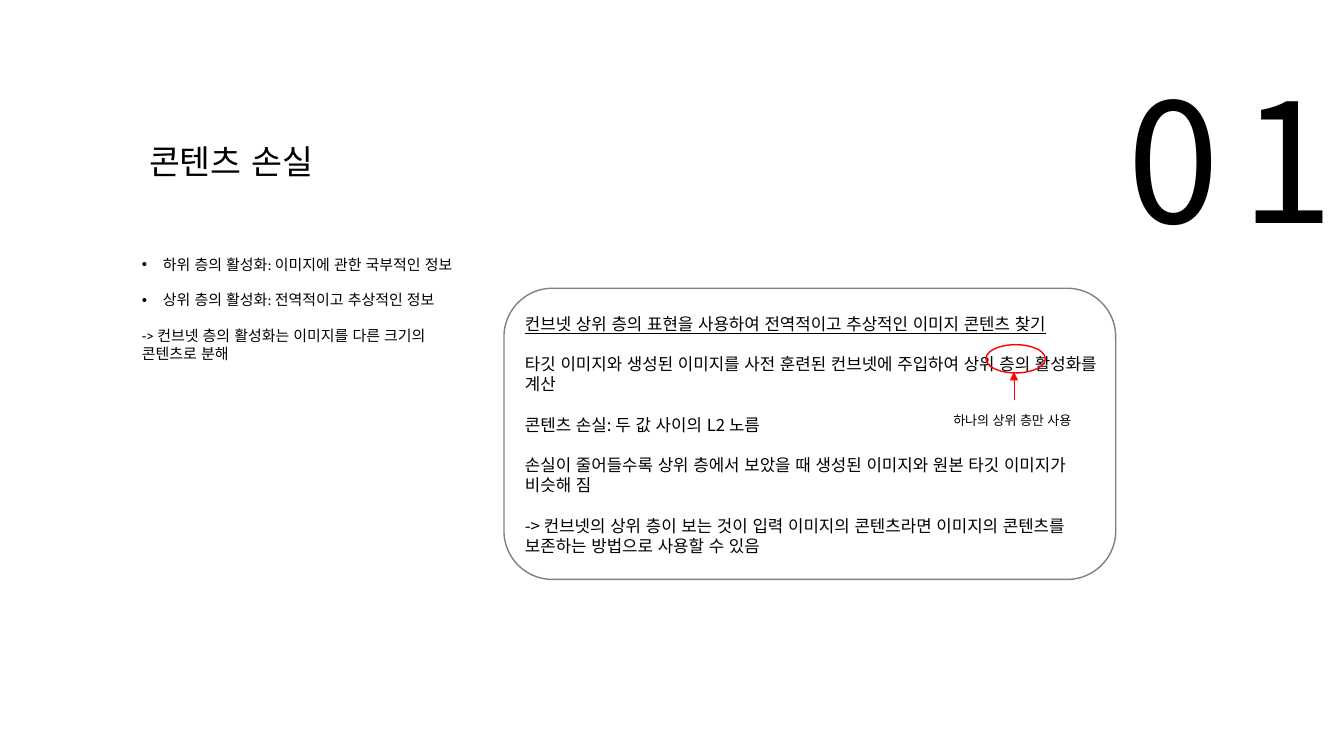
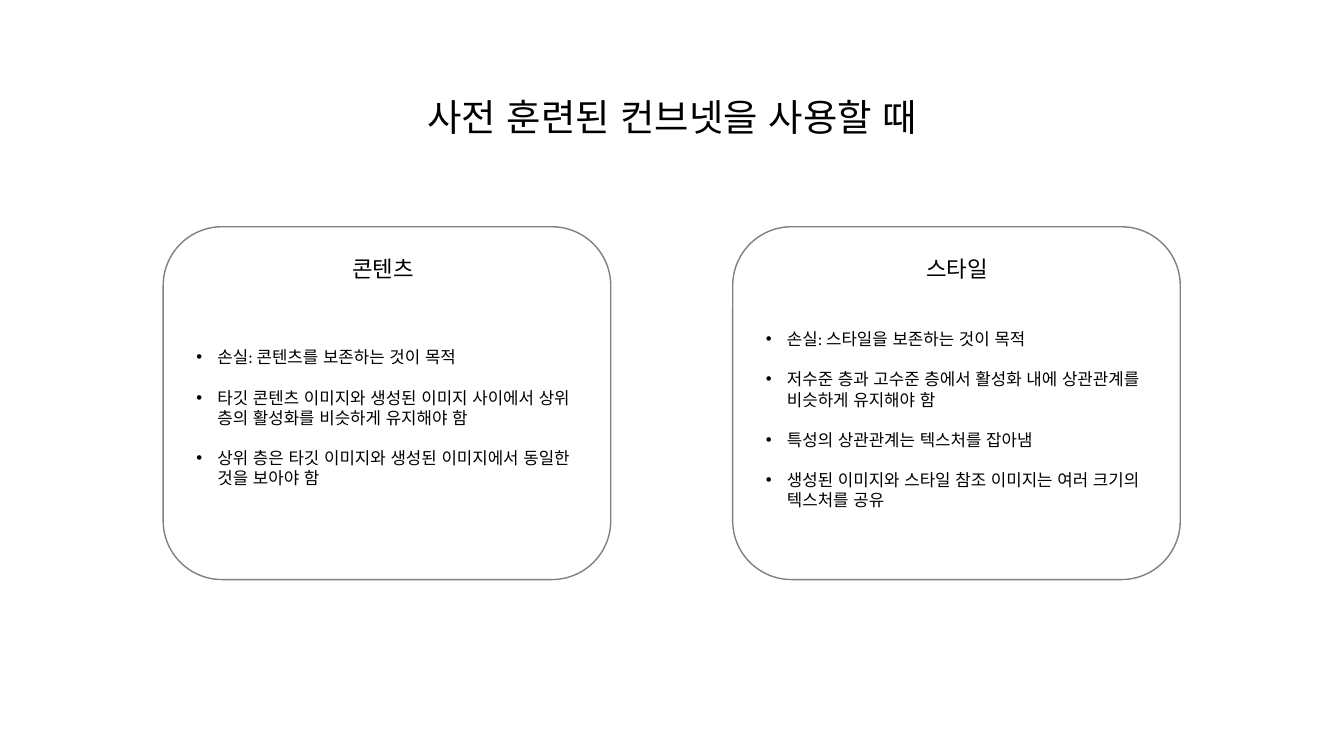
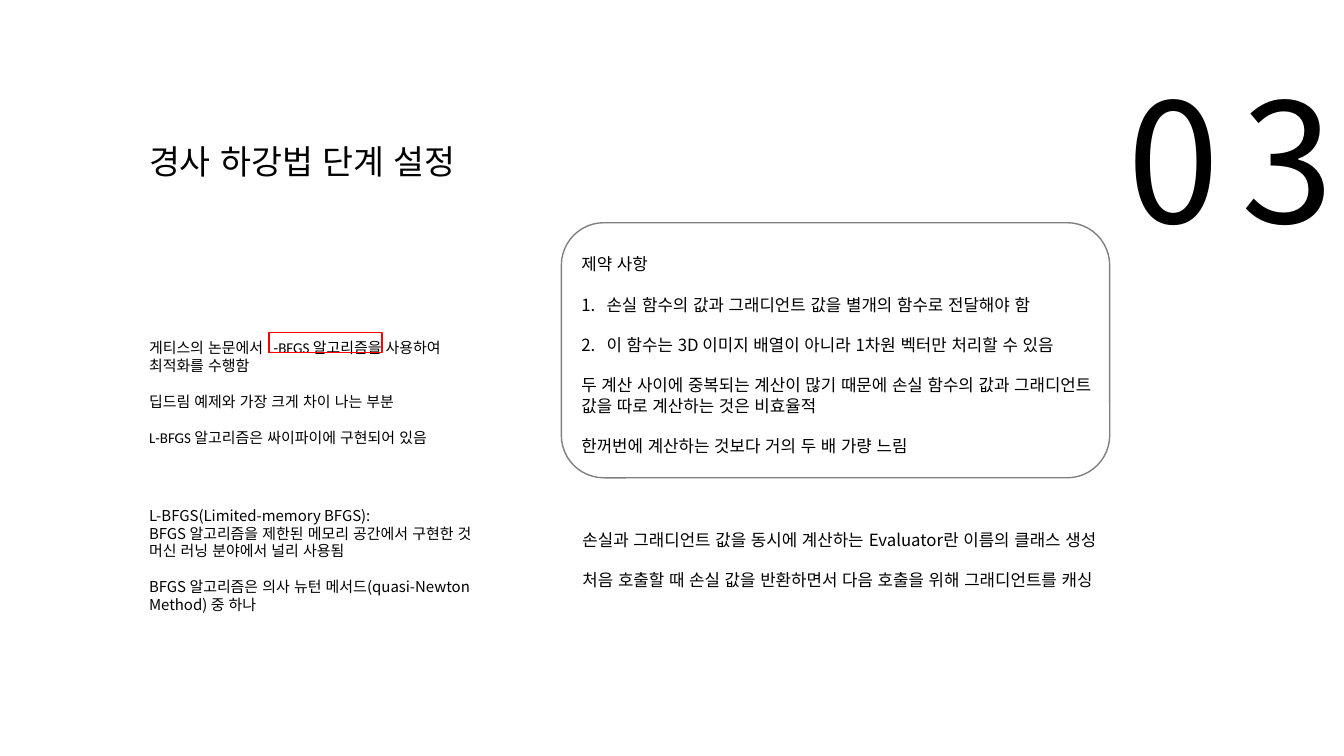
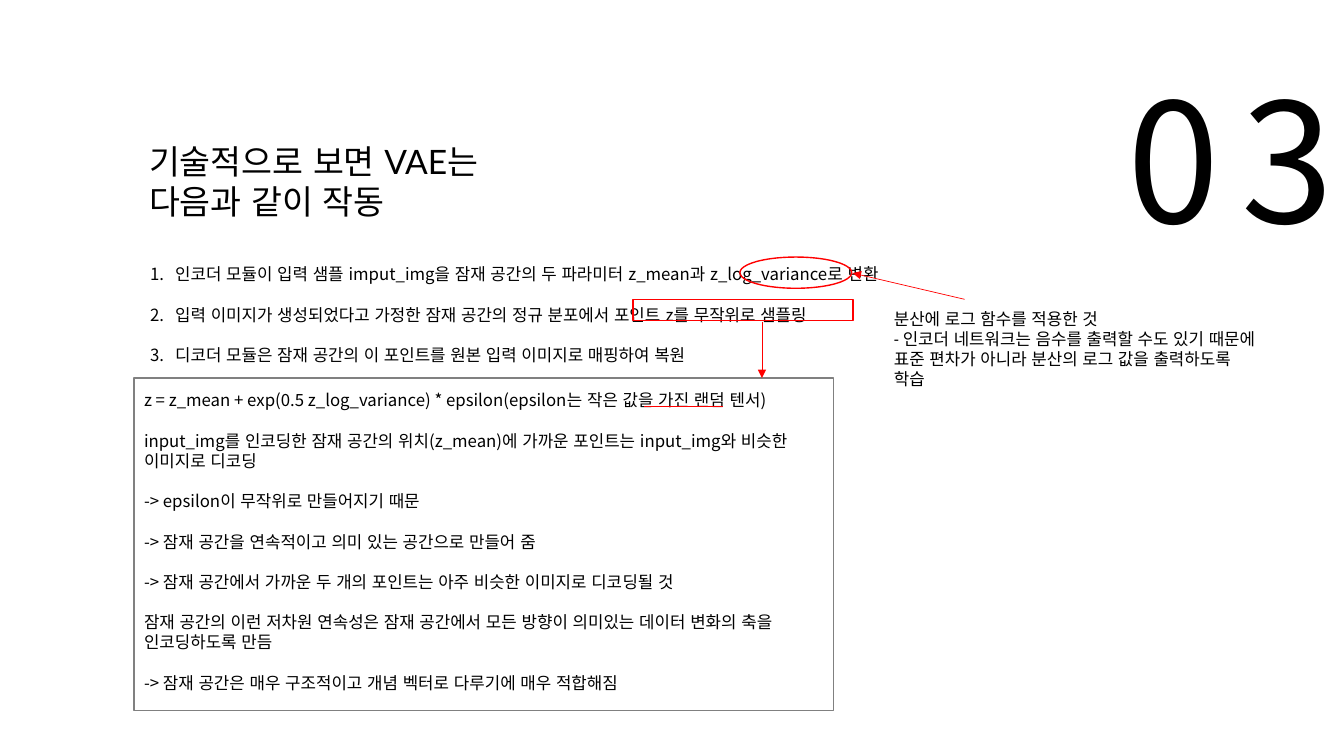
"""Build four slides on style transfer losses and variational autoencoders."""
import pptx
import pptx.util
import pptx.dml.color
import pptx.enum.dml
import pptx.enum.lang
import pptx.enum.shapes
import pptx.enum.text
import pptx.oxml.ns
import lxml.etree

Pt = pptx.util.Pt
RGB = pptx.dml.color.RGBColor
BLACK = RGB(0, 0, 0)
RED = RGB(255, 0, 0)
GREY = RGB(128, 128, 128)
NOTO = "Noto Sans CJK KR"
BODY = "Calibri"
HEAD = "Lato"
LEFT = pptx.enum.text.PP_ALIGN.LEFT
MID = pptx.enum.text.PP_ALIGN.CENTER
SHAPE = pptx.enum.shapes.MSO_SHAPE
KOREAN = pptx.enum.lang.MSO_LANGUAGE_ID.KOREAN
LEAD = 1.2
DROP = 0.075


def node(home, tag, **attrs):
    """Append an XML child in the drawing namespace."""
    return lxml.etree.SubElement(home, pptx.oxml.ns.qn(tag), **attrs)


def mark(para, sign):
    """Give a paragraph a dot or an automatic number."""
    wide = 18 if sign == "1." else 15
    props = para._p.get_or_add_pPr()
    props.set("marL", str(Pt(wide)))
    props.set("indent", str(-Pt(wide)))
    if sign == "1.":
        node(props, "a:buFont", typeface="+mj-lt")
        node(props, "a:buAutoNum", type="arabicPeriod")
    else:
        node(props, "a:buFont", typeface="Arial")
        node(props, "a:buChar", char=sign)


def text(slide, box, lines, size=12, font=NOTO, align=LEFT, marks=None,
         tight=(), under=(), track=0):
    """Write one paragraph per line, a line apart unless its index is tight."""
    left, top, width, height = box
    frame = slide.shapes.add_textbox(
        Pt(left), Pt(top + size * DROP), Pt(width), Pt(height)).text_frame
    frame.word_wrap = True
    for i, line in enumerate(lines):
        para = frame.add_paragraph() if i else frame.paragraphs[0]
        if marks and marks.get(i):
            mark(para, marks[i])
        para.alignment = align
        para.line_spacing = Pt(size * LEAD)
        if i and i not in tight:
            para.space_before = Pt(size * LEAD)
        run = para.add_run()
        run.text = line
        run.font.size = Pt(size)
        run.font.name = font
        run.font.color.rgb = BLACK
        run.font.language_id = KOREAN
        if i in under:
            run.font.underline = True
        props = run.font._element
        node(props, "a:ea", typeface=NOTO)
        if track:
            props.set("spc", str(round(track * 100)))


def frame(slide, kind, box, color=GREY):
    """Draw an unfilled outline."""
    shape = slide.shapes.add_shape(kind, *map(Pt, box))
    shape.shadow.inherit = False
    shape.fill.background()
    shape.line.color.rgb = color
    shape.line.width = Pt(1)


def line(slide, ends, arrow=True):
    """Draw a thin red line, with an arrowhead if asked."""
    link = slide.shapes.add_connector(
        pptx.enum.shapes.MSO_CONNECTOR.STRAIGHT, *map(Pt, ends))
    link.line.color.rgb = RED
    link.line.width = Pt(0.5)
    if arrow:
        node(link.line._get_or_add_ln(), "a:tailEnd", type="triangle")
    node(link._element.spPr, "a:effectLst")


def opener(slide, num, title, width=266.4):
    """Add the large number and the title of a section slide."""
    text(slide, (770.4, 28.8, 217.4, 151), [num], size=118.7, align=MID,
         track=15.3)
    text(slide, (99.4, 95, width, 36), [title], size=24, font=HEAD)


def content(slide):
    """Fill the slide on content loss."""
    opener(slide, "01", "콘텐츠 손실", 337)
    text(slide, (94.3, 177.8, 249, 98), [
        "하위 층의 활성화: 이미지에 관한 국부적인 정보",
        "상위 층의 활성화: 전역적이고 추상적인 정보",
        "-> 컨브넷 층의 활성화는 이미지를 다른 크기의 콘텐츠로 분해",
    ], size=10.7, font=BODY, marks={0: "•", 1: "•"})
    text(slide, (367.9, 219.6, 429, 181.4), [
        "컨브넷 상위 층의 표현을 사용하여 전역적이고 추상적인 이미지 콘텐츠 찾기",
        "타깃 이미지와 생성된 이미지를 사전 훈련된 컨브넷에 주입하여 상위 층의 활성화를 계산",
        "콘텐츠 손실: 두 값 사이의 L2 노름",
        "손실이 줄어들수록 상위 층에서 보았을 때 생성된 이미지와 원본 타깃 이미지가 비슷해 짐",
        "-> 컨브넷의 상위 층이 보는 것이 입력 이미지의 콘텐츠라면 이미지의 콘텐츠를 보존하는 방법으로 사용할 수 있음",
    ], under=(0,))
    frame(slide, SHAPE.OVAL, (704.2, 246.2, 42.5, 20.2), RED)
    line(slide, (724.3, 285.8, 724.3, 265.7))
    text(slide, (673.9, 290.2, 109.4, 18.7), ["하나의 상위 층만 사용"], size=9.3)
    frame(slide, SHAPE.ROUNDED_RECTANGLE, (360, 205.9, 437, 208))


def compare(slide):
    """Fill the slide that sets content beside style."""
    text(slide, (46.8, 61.9, 866.9, 39.6), ["사전 훈련된 컨브넷을 사용할 때"],
         size=26.7, font=HEAD, align=MID)
    cards = [
        (116.6, 166, 243.4, "콘텐츠", [
            "손실: 콘텐츠를 보존하는 것이 목적",
            "타깃 콘텐츠 이미지와 생성된 이미지 사이에서 상위 층의 활성화를 비슷하게 유지해야 함",
            "상위 층은 타깃 이미지와 생성된 이미지에서 동일한 것을 보아야 함",
        ]),
        (523.4, 576, 230.4, "스타일", [
            "손실: 스타일을 보존하는 것이 목적",
            "저수준 층과 고수준 층에서 활성화 내에 상관관계를 비슷하게 유지해야 함",
            "특성의 상관관계는 텍스처를 잡아냄",
            "생성된 이미지와 스타일 참조 이미지는 여러 크기의 텍스처를 공유",
        ]),
    ]
    for left, head, top, name, items in cards:
        text(slide, (head, 177.8, 215.3, 26.6), [name], size=16,
             font="Arial", align=MID)
        text(slide, (left + 16.6, top, 287.3, 138), items, font=BODY,
             marks=dict.fromkeys(range(len(items)), "•"))
        frame(slide, SHAPE.ROUNDED_RECTANGLE, (left, 162, 319.7, 252))


def descent(slide):
    """Fill the slide on gradient descent."""
    opener(slide, "03", "경사 하강법 단계 설정")
    text(slide, (99.4, 237.6, 228.2, 85), [
        "게티스의 논문에서 L-BFGS 알고리즘을 사용하여 최적화를 수행함",
        "딥드림 예제와 가장 크게 차이 나는 부분",
        "L-BFGS 알고리즘은 싸이파이에 구현되어 있음",
    ], size=10.7, font=BODY)
    text(slide, (99.4, 357.1, 271.4, 85), [
        "L-BFGS(Limited-memory BFGS):",
        "BFGS 알고리즘을 제한된 메모리 공간에서 구현한 것",
        "머신 러닝 분야에서 널리 사용됨",
        "BFGS 알고리즘은 의사 뉴턴 메서드(quasi-Newton Method) 중 하나",
    ], size=10.7, tight=(1, 2))
    frame(slide, SHAPE.RECTANGLE, (192.2, 237.6, 80.6, 14.4), RED)
    text(slide, (408.2, 177.1, 391.7, 152.6), [
        "제약 사항",
        "손실 함수의 값과 그래디언트 값을 별개의 함수로 전달해야 함",
        "이 함수는 3D 이미지 배열이 아니라 1차원 벡터만 처리할 수 있음",
        "두 계산 사이에 중복되는 계산이 많기 때문에 손실 함수의 값과 그래디언트 값을 따로 계산하는 것은 비효율적",
        "한꺼번에 계산하는 것보다 거의 두 배 가량 느림",
    ], marks={1: "1.", 2: "1."})
    text(slide, (409, 373.7, 437, 51), [
        "손실과 그래디언트 값을 동시에 계산하는 Evaluator란 이름의 클래스 생성",
        "처음 호출할 때 손실 값을 반환하면서 다음 호출을 위해 그래디언트를 캐싱",
    ])
    frame(slide, SHAPE.ROUNDED_RECTANGLE, (401, 159.1, 391.7, 182.2))


def coder(slide):
    """Fill the slide on how a variational autoencoder works."""
    opener(slide, "03", "기술적으로 보면 VAE는 다음과 같이 작동")
    text(slide, (100.1, 184.3, 652.3, 80), [
        "인코더 모듈이 입력 샘플 imput_img을 잠재 공간의 두 파라미터 z_mean과 z_log_variance로 변환",
        "입력 이미지가 생성되었다고 가정한 잠재 공간의 정규 분포에서 포인트 z를 무작위로 샘플링",
        "디코더 모듈은 잠재 공간의 이 포인트를 원본 입력 이미지로 매핑하여 복원",
    ], marks=dict.fromkeys(range(3), "1."))
    text(slide, (631.4, 216, 272.9, 65.5), [
        "분산에 로그 함수를 적용한 것",
        "- 인코더 네트워크는 음수를 출력할 수도 있기 때문에 표준 편차가 아니라 분산의 로그 값을 출력하도록 학습",
    ], font=BODY, tight=(1,))
    text(slide, (95.8, 274.3, 499.7, 230), [
        "z = z_mean + exp(0.5 z_log_variance) * epsilon(epsilon는 작은 값을 가진 랜덤 텐서)",
        "input_img를 인코딩한 잠재 공간의 위치(z_mean)에 가까운 포인트는 input_img와 비슷한 이미지로 디코딩",
        "-> epsilon이 무작위로 만들어지기 때문",
        "-> 잠재 공간을 연속적이고 의미 있는 공간으로 만들어 줌",
        "-> 잠재 공간에서 가까운 두 개의 포인트는 아주 비슷한 이미지로 디코딩될 것",
        "잠재 공간의 이런 저차원 연속성은 잠재 공간에서 모든 방향이 의미있는 데이터 변화의 축을 인코딩하도록 만듬",
        "-> 잠재 공간은 매우 구조적이고 개념 벡터로 다루기에 매우 적합해짐",
    ])
    frame(slide, SHAPE.OVAL, (528.5, 183.6, 79.9, 22.3), RED)
    frame(slide, SHAPE.RECTANGLE, (452.2, 213.8, 157, 15.1), RED)
    frame(slide, SHAPE.RECTANGLE, (95.8, 270, 499.7, 237.6))
    line(slide, (544.3, 229.7, 544.3, 270))
    line(slide, (460.1, 290.2, 516.2, 290.2), arrow=False)
    line(slide, (689, 213.8, 609.1, 195.1))


def main():
    """Build the deck and save it."""
    deck = pptx.Presentation()
    deck.slide_width, deck.slide_height = Pt(960), Pt(540)
    for fill in (content, compare, descent, coder):
        fill(deck.slides.add_slide(deck.slide_layouts[6]))
    deck.save("out.pptx")


if __name__ == "__main__":
    main()
